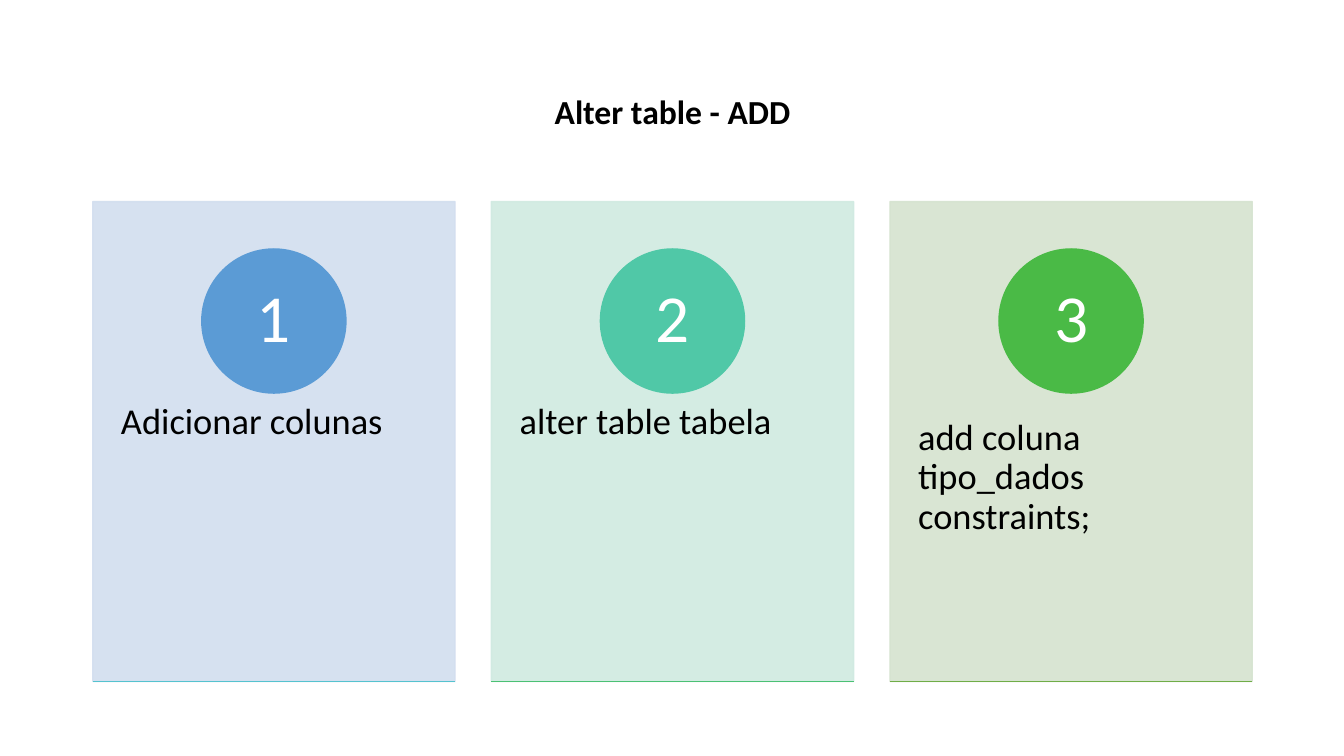
from dataclasses import dataclass

from lxml import etree
from pptx import Presentation
from pptx.dml.color import RGBColor
from pptx.enum.shapes import MSO_CONNECTOR, MSO_SHAPE
from pptx.enum.text import MSO_ANCHOR, PP_ALIGN
from pptx.oxml.ns import qn
from pptx.util import Inches, Pt

RECTANGLE, OVAL = MSO_SHAPE.RECTANGLE, MSO_SHAPE.OVAL
STRAIGHT = MSO_CONNECTOR.STRAIGHT
TOP, MIDDLE = MSO_ANCHOR.TOP, MSO_ANCHOR.MIDDLE
LEFT, CENTER = PP_ALIGN.LEFT, PP_ALIGN.CENTER


@dataclass(frozen=True)
class Theme:
    font: str = "Calibri"
    dark: str = "000000"
    light: str = "FFFFFF"
    title_size: int = 24
    body_size: int = 26
    number_size: int = 48
    line_width: int = 1
    line_spacing: float = 0.9
    card_opacity: int = 90


@dataclass(frozen=True)
class Step:
    text: str
    card_color: str
    circle_color: str
    base_color: str


THEME = Theme()
TITLE = "Alter table - ADD"
STEPS = (
    Step("Adicionar colunas", "D2DEEF", "5B9BD5", "55C3CF"),
    Step("alter table tabela", "D0EAE1", "50C8A7", "4BC174"),
    Step("add coluna tipo_dados constraints;", "D5E3CF", "4ABA46", "70AD47"),
)


def add_text(slide, box, text, size, color=THEME.dark, bold=False,
             align=LEFT, anchor=TOP, insets=(0.1, 0.05)):
    """Place one paragraph; insets are horizontal and vertical, in inches."""
    shape = slide.shapes.add_textbox(*map(Inches, box))
    frame = shape.text_frame
    frame.word_wrap = True
    frame.vertical_anchor = anchor
    frame.margin_left = frame.margin_right = Inches(insets[0])
    frame.margin_top = frame.margin_bottom = Inches(insets[1])
    paragraph = frame.paragraphs[0]
    paragraph.alignment = align
    paragraph.line_spacing = THEME.line_spacing
    run = paragraph.add_run()
    run.text = text
    run.font.name = THEME.font
    run.font.size = Pt(size)
    run.font.bold = bold
    run.font.color.rgb = RGBColor.from_string(color)


def add_filled_shape(slide, kind, box, color, opacity=100):
    shape = slide.shapes.add_shape(kind, *map(Inches, box))
    shape.shadow.inherit = False
    shape.fill.solid()
    shape.fill.fore_color.rgb = RGBColor.from_string(color)
    shape.line.color.rgb = RGBColor.from_string(color)
    shape.line.width = Pt(THEME.line_width)
    if opacity < 100:
        for color_element in shape.element.spPr.iter(qn("a:srgbClr")):
            alpha = etree.SubElement(color_element, qn("a:alpha"))
            alpha.set("val", str(opacity * 1000))


def add_base_line(slide, left, top, width, color):
    line = slide.shapes.add_connector(
        STRAIGHT, Inches(left), Inches(top), Inches(left + width), Inches(top))
    line.line.color.rgb = RGBColor.from_string(color)
    line.line.width = Pt(THEME.line_width)
    etree.SubElement(line.element.spPr, qn("a:effectLst"))


def add_step_card(slide, box, number, step):
    left, top, width, height = box
    diameter, number_inset = 1.43, 0.21
    circle_left = left + (width - diameter) / 2
    circle_top = top + 0.47
    number_side = diameter - 2 * number_inset

    add_filled_shape(slide, RECTANGLE, box, step.card_color, THEME.card_opacity)
    add_text(slide, (left, top + 1.8, width, 2.86), step.text,
             THEME.body_size, insets=(0.28, 0.36))
    add_filled_shape(slide, OVAL, (circle_left, circle_top, diameter, diameter),
                     step.circle_color)
    add_text(slide, (circle_left + number_inset, circle_top + number_inset,
                     number_side, number_side), str(number),
             THEME.number_size, THEME.light, align=CENTER, anchor=MIDDLE,
             insets=(0.11, 0.01))
    add_base_line(slide, left, top + height, width, step.base_color)


def add_step_row(slide, box, steps, gap):
    left, top, width, height = box
    card_width = (width - gap * (len(steps) - 1)) / len(steps)
    for index, step in enumerate(steps):
        card_left = left + index * (card_width + gap)
        add_step_card(slide, (card_left, top, card_width, height), index + 1, step)


def main():
    presentation = Presentation()
    presentation.slide_width = Inches(13.33)
    presentation.slide_height = Inches(7.5)
    slide = presentation.slides.add_slide(presentation.slide_layouts[6])
    add_text(slide, (0.92, 0.4, 11.5, 1.45), TITLE, THEME.title_size,
             bold=True, align=CENTER, anchor=MIDDLE)
    add_step_row(slide, (0.92, 2, 11.5, 4.76), STEPS, gap=0.36)
    presentation.save("out.pptx")


if __name__ == "__main__":
    main()
